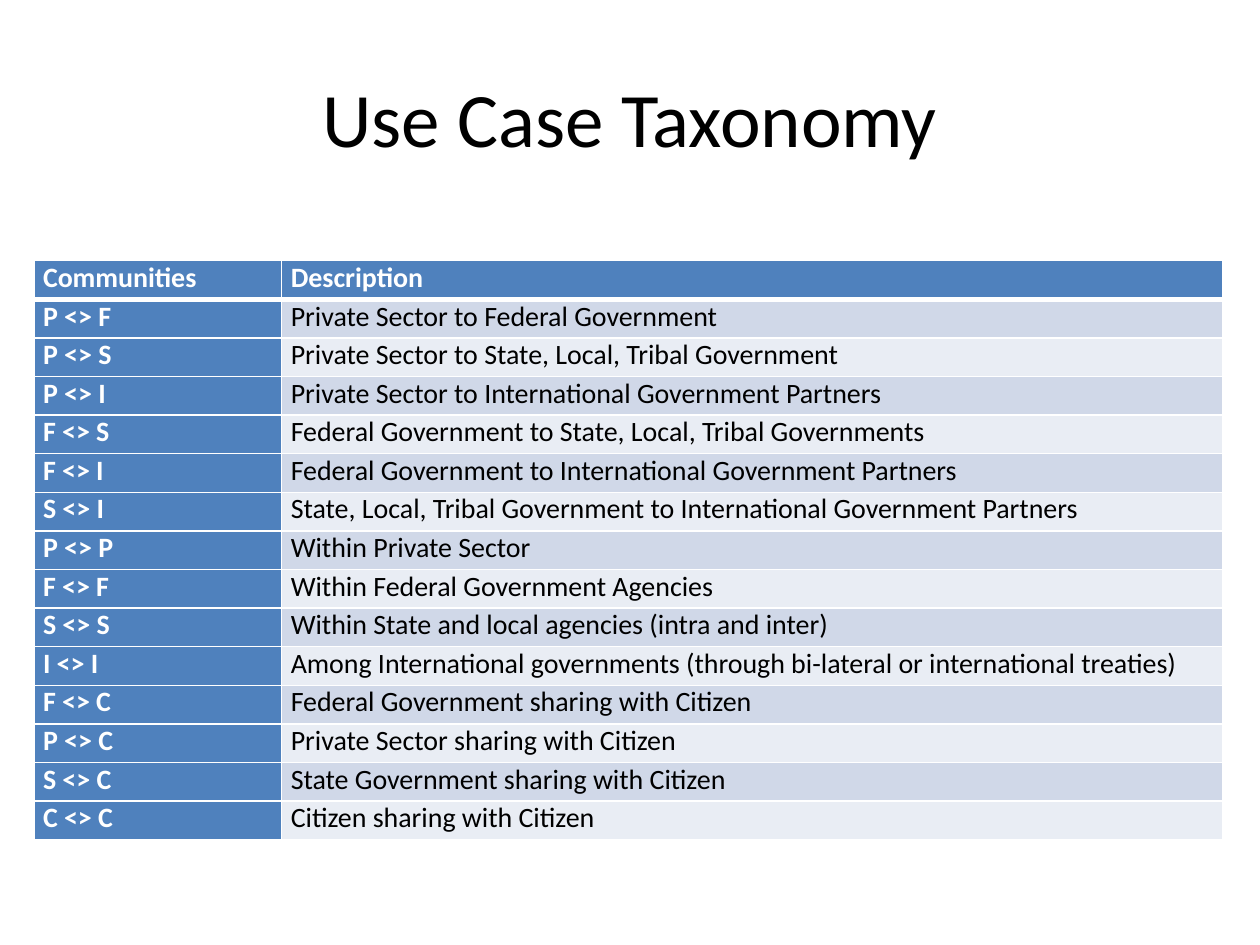
from lxml import etree
from pptx import Presentation
from pptx.dml.color import RGBColor
from pptx.enum import text
from pptx.oxml import ns
from pptx.util import Pt

BLACK = RGBColor(0x00, 0x00, 0x00)
WHITE = RGBColor(0xFF, 0xFF, 0xFF)
BLUE = RGBColor(0x4F, 0x81, 0xBD)
BANDS = RGBColor(0xD0, 0xD8, 0xE8), RGBColor(0xE9, 0xED, 0xF4)
FONT = "Calibri"
WIDTHS = 141.6, 537.6
HEIGHT = 22.08
ROWS = [
    ("Communities", "Description"),
    ("P <> F", "Private Sector to Federal Government"),
    ("P <> S", "Private Sector to State, Local, Tribal Government"),
    ("P <> I", "Private Sector to International Government Partners"),
    ("F <> S", "Federal Government to State, Local, Tribal Governments"),
    ("F <> I", "Federal Government to International Government Partners"),
    ("S <> I", "State, Local, Tribal Government to International Government Partners"),
    ("P <> P", "Within Private Sector"),
    ("F <> F", "Within Federal Government Agencies"),
    ("S <> S", "Within State and local agencies (intra and inter)"),
    ("I <> I", "Among International governments (through bi-lateral or international treaties)"),
    ("F <> C", "Federal Government sharing with Citizen"),
    ("P <> C", "Private Sector sharing with Citizen"),
    ("S <> C", "State Government sharing with Citizen"),
    ("C <> C", "Citizen sharing with Citizen"),
]


def add_run(para, words, size, color, bold=False):
    """Add one formatted run to a paragraph."""
    run = para.add_run()
    run.text = words
    font = run.font
    font.name, font.size, font.bold = FONT, Pt(size), bold
    font.color.rgb = color


def set_title(slide, words):
    """Place and fill the title placeholder."""
    title = slide.shapes.title
    title.left, title.top = Pt(36), Pt(21.6)
    title.width, title.height = Pt(648), Pt(90)
    title.text_frame.vertical_anchor = text.MSO_ANCHOR.MIDDLE
    para = title.text_frame.paragraphs[0]
    para.alignment = text.PP_ALIGN.CENTER
    add_run(para, words, 44, BLACK)


def set_edge(cell, side, width):
    """Draw one white border of a cell."""
    props = cell._tc.get_or_add_tcPr()
    line = etree.SubElement(props, ns.qn(f"a:ln{side}"), w=str(Pt(width)))
    fill = etree.SubElement(line, ns.qn("a:solidFill"))
    etree.SubElement(fill, ns.qn("a:srgbClr"), val=str(WHITE))


def fill_cell(cell, words, row, col):
    """Write and style one cell by its place in the table."""
    head = row == 0 or col == 0
    cell.margin_left = cell.margin_right = Pt(5.2)
    cell.margin_top = cell.margin_bottom = 0
    for side in "LRTB":
        thick = (row, side) in ((0, "B"), (1, "T"))
        set_edge(cell, side, 3 if thick else 1)
    cell.fill.solid()
    cell.fill.fore_color.rgb = BLUE if head else BANDS[(row - 1) % 2]
    para = cell.text_frame.paragraphs[0]
    add_run(para, words, 16, WHITE if head else BLACK, head)


def add_grid(slide):
    """Add the table of communities and descriptions."""
    frame = slide.shapes.add_table(
        len(ROWS), len(WIDTHS), Pt(19.4), Pt(149),
        Pt(sum(WIDTHS)), Pt(HEIGHT * len(ROWS)))
    table = frame.table
    table.first_col = True
    for col, width in zip(table.columns, WIDTHS):
        col.width = Pt(width)
    for r, row in enumerate(ROWS):
        table.rows[r].height = Pt(HEIGHT)
        for c, words in enumerate(row):
            fill_cell(table.cell(r, c), words, r, c)


def main():
    """Build and save the slide."""
    deck = Presentation()
    deck.slide_width, deck.slide_height = Pt(720), Pt(540)
    slide = deck.slides.add_slide(deck.slide_layouts[5])
    set_title(slide, "Use Case Taxonomy")
    add_grid(slide)
    deck.save("out.pptx")


if __name__ == "__main__":
    main()
